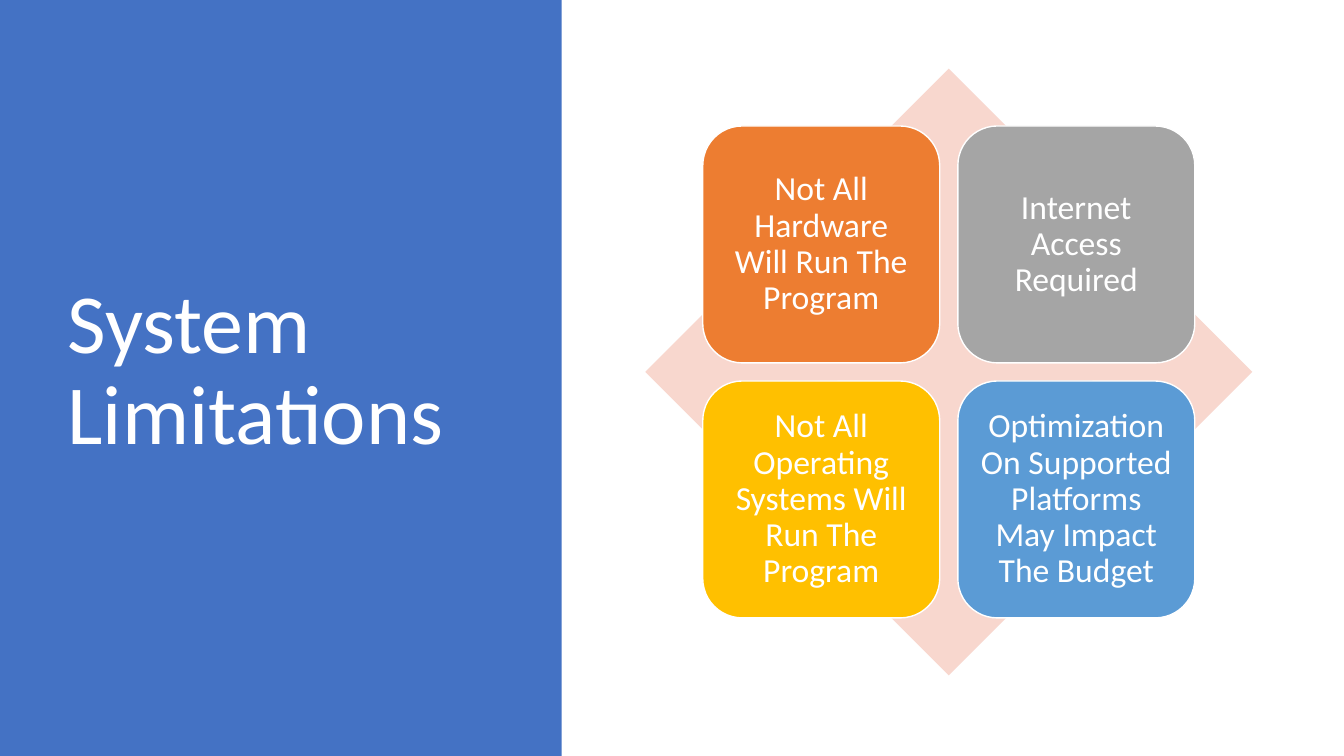
import pptx
import pptx.util
from pptx.dml.color import RGBColor
from pptx.enum.shapes import MSO_SHAPE
from pptx.enum.text import MSO_ANCHOR, MSO_AUTO_SIZE, PP_ALIGN
from pptx.util import Inches

WHITE = RGBColor(0xFF, 0xFF, 0xFF)
BLUE = RGBColor(0x44, 0x72, 0xC4)
PINK = RGBColor(0xF8, 0xD7, 0xCE)
ORANGE = RGBColor(0xED, 0x7D, 0x31)
GREY = RGBColor(0xA5, 0xA5, 0xA5)
GOLD = RGBColor(0xFF, 0xC0, 0x00)
SKY = RGBColor(0x5B, 0x9B, 0xD5)

LIMITATIONS = [
    ("Not All Hardware Will Run The Program", ORANGE),
    ("Internet Access Required", GREY),
    ("Not All Operating Systems Will Run The Program", GOLD),
    ("Optimization On Supported Platforms May Impact The Budget", SKY),
]
CARD_LEFT, CARD_TOP = 6.97, 1.25
CARD_SIZE, CARD_STEP = 2.35, 2.53


class SlideBuilder:
    """Holds the text style and the current slide."""

    font_name = "Calibri"
    text_color = WHITE

    def __init__(self, deck):
        self.page = deck.slides.add_slide(deck.slide_layouts[5])

    def set_text(self, shape, text, size, align, inset):
        frame = shape.text_frame
        frame.text = text
        frame.word_wrap = True
        frame.auto_size = MSO_AUTO_SIZE.NONE
        frame.vertical_anchor = MSO_ANCHOR.MIDDLE
        frame.margin_left = frame.margin_right = Inches(0.1)
        frame.margin_top = frame.margin_bottom = Inches(inset)
        para = frame.paragraphs[0]
        para.alignment = align
        para.line_spacing = 0.9
        para.font.name = self.font_name
        para.font.size = pptx.util.Pt(size)
        para.font.color.rgb = self.text_color

    def title(self, text, left, top, width, height):
        title = self.page.shapes.title
        title.left, title.top = Inches(left), Inches(top)
        title.width, title.height = Inches(width), Inches(height)
        self.set_text(title, text, 60, PP_ALIGN.LEFT, 0.05)

    def shape(self, kind, left, top, width, height, fill):
        shape = self.page.shapes.add_shape(
            kind, Inches(left), Inches(top), Inches(width), Inches(height))
        shape.shadow.inherit = False
        shape.fill.solid()
        shape.fill.fore_color.rgb = fill
        shape.line.fill.background()
        return shape

    def panel(self, width, height, fill):
        panel = self.shape(MSO_SHAPE.RECTANGLE, 0, 0, width, height, fill)
        # The panel lies behind the title
        self.page.shapes.title.element.addprevious(panel.element)

    def card(self, text, left, top, size, fill):
        card = self.shape(MSO_SHAPE.ROUNDED_RECTANGLE, left, top, size, size, fill)
        card.line.color.rgb = WHITE
        card.line.width = pptx.util.Pt(1)
        self.set_text(card, text, 24, PP_ALIGN.CENTER, 0.1)


def main():
    deck = pptx.Presentation()
    deck.slide_width, deck.slide_height = Inches(13.33), Inches(7.5)
    builder = SlideBuilder(deck)

    # Title on the blue panel
    builder.panel(5.57, 7.5, BLUE)
    builder.title("System Limitations", 0.57, 0.68, 4.16, 6.02)

    # Diamond with a two-by-two grid of cards
    builder.shape(MSO_SHAPE.DIAMOND, 6.4, 0.68, 6.02, 6.02, PINK)
    for index, (text, fill) in enumerate(LIMITATIONS):
        row, column = divmod(index, 2)
        builder.card(text, CARD_LEFT + column * CARD_STEP,
                     CARD_TOP + row * CARD_STEP, CARD_SIZE, fill)

    deck.save("out.pptx")


if __name__ == "__main__":
    main()
